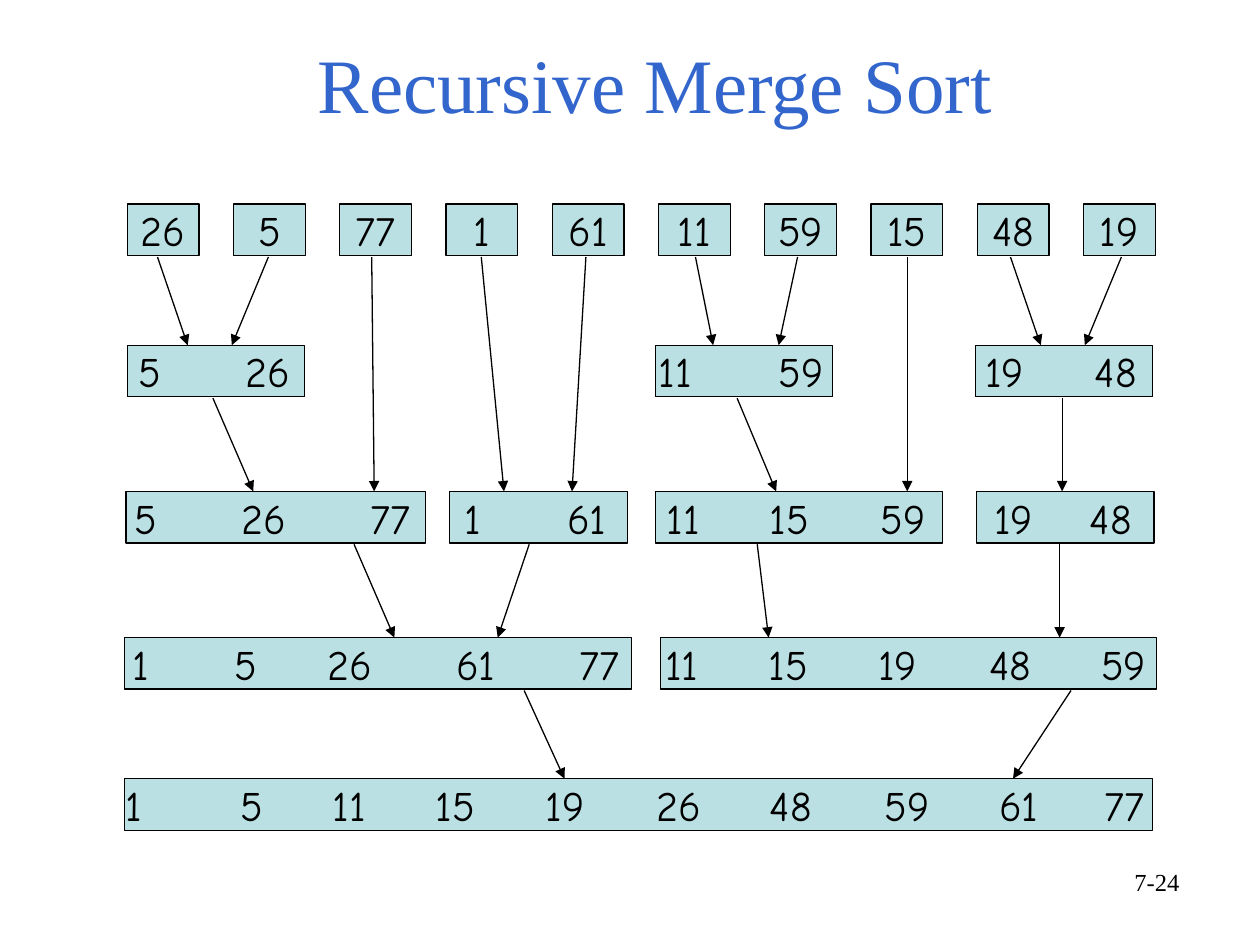
from lxml import etree
from pptx import Presentation
from pptx import util as u
from pptx.dml.color import RGBColor
from pptx.enum import shapes, text
from pptx.oxml import ns

COLORS = {"title": "3366CC", "box": "BBE0E3", "ink": "000000"}
SERIF, HAND = "Times New Roman", "Comic Neue"
LEVEL_TOPS = [1.62, 2.74, 3.9, 5.06, 6.18]
BOX_HEIGHT = 0.41
ARROW_GAP = 0.01
LEAF_LEFT, LEAF_WIDTH, LEAF_PITCH = 1.01, 0.57, 0.8433
LEAVES = [26, 5, 77, 1, 61, 11, 59, 15, 48, 19]

# level, left, width, {number: left edge of the number}
MERGED = [
    (1, 1.01, 1.41, {5: 1.1, 26: 1.95}),
    (1, 5.2, 1.41, {11: 5.23, 59: 6.18}),
    (1, 7.74, 1.41, {19: 7.82, 48: 8.69}),
    (2, 1.0, 2.38, {5: 1.07, 26: 1.92, 77: 2.94}),
    (2, 3.57, 1.41, {1: 3.69, 61: 4.5}),
    (2, 5.2, 2.28, {11: 5.29, 15: 6.11, 59: 6.99}),
    (2, 7.75, 1.41, {19: 7.89, 48: 8.65}),
    (3, 0.99, 4.02, {1: 1.05, 5: 1.86, 26: 2.6, 61: 3.62, 77: 4.6}),
    (3, 5.24, 3.94, {11: 5.28, 15: 6.1, 19: 6.97, 48: 7.85, 59: 8.74}),
    (4, 0.99, 8.16, {1: 1.0, 5: 1.91, 11: 2.64, 15: 3.46, 19: 4.33,
                     26: 5.21, 48: 6.11, 59: 7.02, 61: 7.93, 77: 8.77}),
]

# start level, start x, end level, end x
MERGES = [
    (0, 1.25, 1, 1.49), (0, 2.13, 1, 1.84), (0, 2.95, 2, 2.97),
    (0, 3.82, 2, 4.0), (0, 4.65, 2, 4.54), (0, 5.52, 1, 5.66),
    (0, 6.33, 1, 6.18), (0, 7.2, 2, 7.2), (0, 8.02, 1, 8.26),
    (0, 8.9, 1, 8.61), (1, 1.69, 2, 2.01), (1, 5.85, 2, 6.16),
    (1, 8.43, 2, 8.43), (2, 8.41, 3, 8.41), (2, 2.81, 3, 3.13),
    (2, 6.01, 3, 6.1), (2, 4.2, 3, 3.95), (3, 4.16, 4, 4.48),
    (3, 8.5, 4, 8.04),
]


def write(frame, words, size, font, color="ink", align=text.PP_ALIGN.CENTER,
          anchor=text.MSO_ANCHOR.MIDDLE, wrap=True, tabs=()):
    frame.word_wrap = wrap
    frame.vertical_anchor = anchor
    paragraph = frame.paragraphs[0]
    paragraph.alignment = align
    if tabs:
        stops = etree.SubElement(paragraph._p.get_or_add_pPr(), ns.qn("a:tabLst"))
        for position in tabs:
            etree.SubElement(stops, ns.qn("a:tab"), pos=str(u.Inches(position)), algn="l")
    run = paragraph.add_run()
    run.text = words
    run.font.size = u.Pt(size)
    run.font.name = font
    run.font.color.rgb = RGBColor.from_string(COLORS[color])


def add_box(slide, level, left, width):
    box = slide.shapes.add_shape(
        shapes.MSO_SHAPE.RECTANGLE, u.Inches(left), u.Inches(LEVEL_TOPS[level]),
        u.Inches(width), u.Inches(BOX_HEIGHT))
    box.shadow.inherit = False
    box.fill.solid()
    box.fill.fore_color.rgb = RGBColor.from_string(COLORS["box"])
    box.line.color.rgb = RGBColor.from_string(COLORS["ink"])
    box.line.width = u.Pt(0.75)
    return box.text_frame


def add_leaf(slide, column, number):
    frame = add_box(slide, 0, LEAF_LEFT + column * LEAF_PITCH, LEAF_WIDTH)
    write(frame, str(number), 24, HAND, wrap=False)


def add_merged(slide, level, left, width, numbers):
    frame = add_box(slide, level, left, width)
    first, *others = numbers.values()
    frame.margin_left = u.Inches(first - left)
    frame.margin_right = 0
    write(frame, "\t".join(map(str, numbers)), 24, HAND,
          align=text.PP_ALIGN.LEFT, tabs=[x - first for x in others])


def add_arrow(slide, start_level, start_x, end_level, end_x):
    start_y = LEVEL_TOPS[start_level] + BOX_HEIGHT + ARROW_GAP
    arrow = slide.shapes.add_connector(
        shapes.MSO_CONNECTOR.STRAIGHT, u.Inches(start_x), u.Inches(start_y),
        u.Inches(end_x), u.Inches(LEVEL_TOPS[end_level]))
    arrow.line.color.rgb = RGBColor.from_string(COLORS["ink"])
    arrow.line.width = u.Pt(0.75)
    etree.SubElement(arrow.line._get_or_add_ln(), ns.qn("a:tailEnd"), type="triangle")
    etree.SubElement(arrow._element.spPr, ns.qn("a:effectLst"))


def add_title(slide, words):
    title = slide.shapes.title
    title.left, title.top = u.Inches(0.79), u.Inches(0.21)
    title.width, title.height = u.Inches(8.82), u.Inches(0.86)
    write(title.text_frame, words, 44, SERIF, "title", anchor=text.MSO_ANCHOR.BOTTOM)


def add_page_number(slide, words):
    page = slide.shapes.add_textbox(
        u.Inches(7.13), u.Inches(6.83), u.Inches(2.33), u.Inches(0.52))
    write(page.text_frame, words, 14, SERIF, align=text.PP_ALIGN.RIGHT,
          anchor=text.MSO_ANCHOR.TOP)


def main():
    deck = Presentation()
    deck.slide_width, deck.slide_height = u.Inches(10), u.Inches(7.5)
    slide = deck.slides.add_slide(deck.slide_layouts[5])
    add_title(slide, "Recursive Merge Sort")
    for column, number in enumerate(LEAVES):
        add_leaf(slide, column, number)
    for merged in MERGED:
        add_merged(slide, *merged)
    for merge in MERGES:
        add_arrow(slide, *merge)
    add_page_number(slide, "7-24")
    deck.save("out.pptx")


if __name__ == "__main__":
    main()
